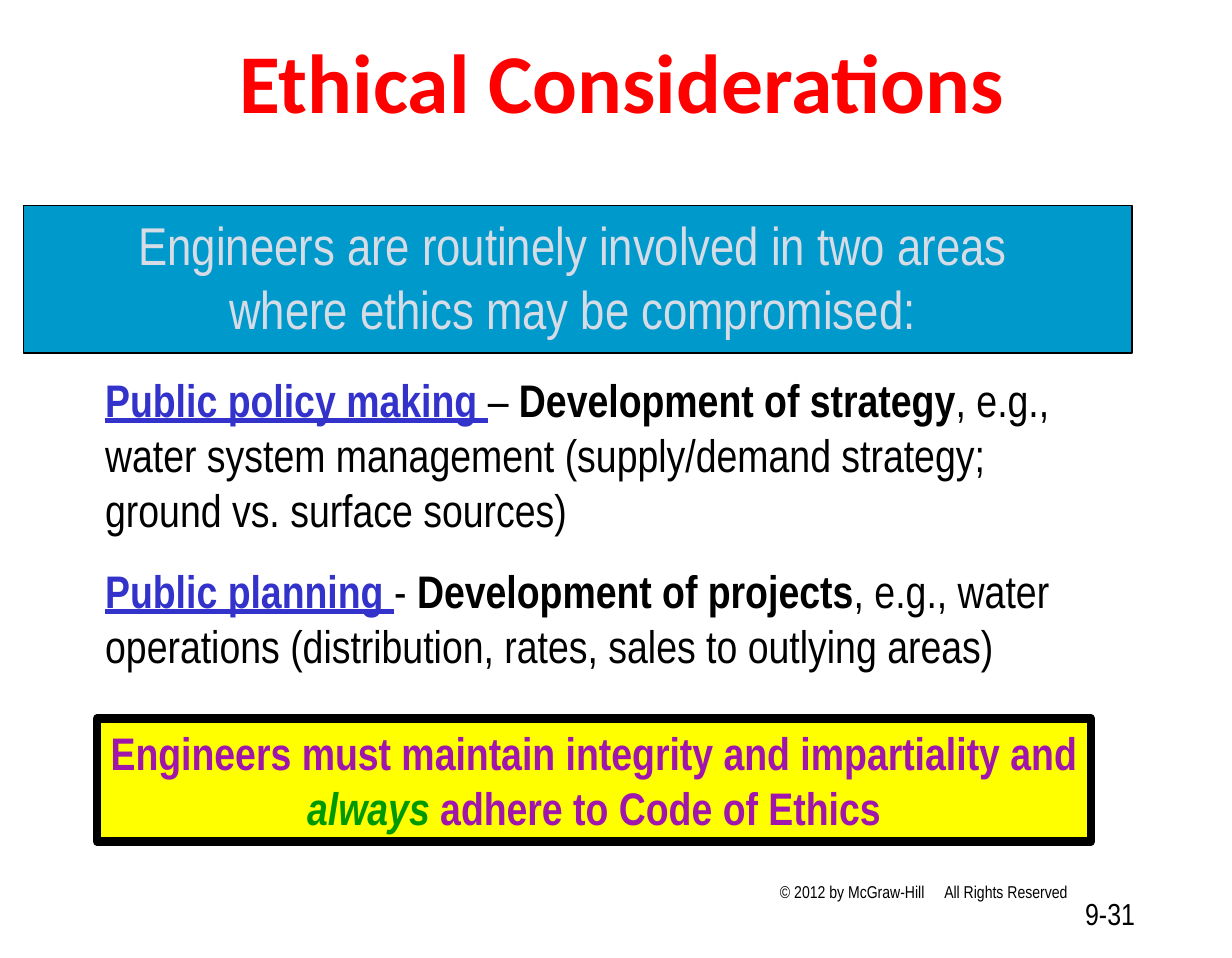
from lxml.etree import SubElement
from pptx import Presentation
from pptx.dml.color import RGBColor
from pptx.enum.shapes import MSO_SHAPE
from pptx.enum.text import MSO_ANCHOR, MSO_AUTO_SIZE, PP_ALIGN
from pptx.oxml.ns import qn
from pptx.util import Inches, Pt

COLORS = {
    "black": "000000",
    "title": "FF0000",
    "banner": "0099CC",
    "banner_text": "D6DCE5",
    "topic": "3333CC",
    "rule": "FFFF00",
    "rule_text": "A015AB",
    "always": "009900",
}
BODY_FONT = "Arial Narrow"
TOPIC = {"color": "topic", "bold": True, "underline": True}
STRONG = {"bold": True}


def color(key):
    return RGBColor.from_string(COLORS[key])


def add_panel(slide, box, fill, line_width):
    panel = slide.shapes.add_shape(MSO_SHAPE.RECTANGLE, *map(Inches, box))
    panel.shadow.inherit = False
    panel.fill.solid()
    panel.fill.fore_color.rgb = color(fill)
    panel.line.color.rgb = color("black")
    panel.line.width = Pt(line_width)
    return panel


def add_tab(paragraph, position):
    tabs = SubElement(paragraph._p.get_or_add_pPr(), qn("a:tabLst"))
    SubElement(tabs, qn("a:tab"), pos=str(Inches(position)), algn="l")


def write(shape, paragraphs, size, align=PP_ALIGN.LEFT, gap=0, tab=None,
          frame_format=None, **base):
    """Each paragraph is a list of (text, format) runs."""
    frame = shape.text_frame
    settings = {"word_wrap": True, "vertical_anchor": MSO_ANCHOR.TOP}
    for name, value in (settings | (frame_format or {})).items():
        setattr(frame, name, value)
    for index, runs in enumerate(paragraphs):
        paragraph = frame.add_paragraph() if index else frame.paragraphs[0]
        paragraph.alignment = align
        if index and gap:
            paragraph.space_before = Pt(gap)
        if tab:
            add_tab(paragraph, tab)
        for text, extra in runs:
            run = paragraph.add_run()
            run.text = text
            look = {"name": BODY_FONT, "size": Pt(size), "color": "black"}
            look |= base | extra
            run.font.color.rgb = color(look.pop("color"))
            for name, value in look.items():
                setattr(run.font, name, value)


def add_text(slide, box, paragraphs, size, **options):
    write(slide.shapes.add_textbox(*map(Inches, box)), paragraphs, size, **options)


def main():
    prs = Presentation()
    prs.slide_width, prs.slide_height = Inches(9), Inches(7)
    slide = prs.slides.add_slide(prs.slide_layouts[6])
    grow = {"auto_size": MSO_AUTO_SIZE.SHAPE_TO_FIT_TEXT}
    grow_unwrapped = grow | {"word_wrap": False}
    middle = {"vertical_anchor": MSO_ANCHOR.MIDDLE}

    # Title
    add_text(slide, (0.92, 0.17, 7.25, 0.93), [[("Ethical Considerations", {})]],
             44, align=PP_ALIGN.CENTER, name="Calibri", color="title", bold=True)

    # Banner
    add_panel(slide, (0.17, 1.5, 8.1, 1.08), "banner", 0.75)
    add_text(slide, (0.87, 1.5, 6.62, 1.04),
             [[("Engineers are routinely involved in two areas ", {})],
              [("where ethics may be compromised:", {})]],
             28, align=PP_ALIGN.CENTER, frame_format=grow_unwrapped,
             color="banner_text")

    # Two areas
    add_text(slide, (0.67, 2.67, 7.17, 2.3),
             [[("Public policy making ", TOPIC), ("– ", {}),
               ("Development of strategy", STRONG),
               (", e.g., water system management (supply/demand strategy; "
                "ground vs. surface sources)", {})],
              [("Public planning ", TOPIC), ("- ", {}),
               ("Development of projects", STRONG),
               (", e.g., water operations (distribution, rates, "
                "sales to outlying areas)", {})]],
             24, gap=14, frame_format=grow)

    # Rule for engineers
    rule = add_panel(slide, (0.71, 5.25, 7.26, 0.9), "rule", 4.5)
    write(rule,
          [[("Engineers must maintain integrity and impartiality and", {})],
           [("always", {"color": "always", "italic": True}),
            (" adhere to Code of Ethics", {})]],
          24, align=PP_ALIGN.CENTER, frame_format=grow_unwrapped,
          color="rule_text", bold=True)

    # Footer
    add_text(slide, (5.6, 6.37, 2.33, 0.29),
             [[("© 2012 by McGraw-Hill\tAll Rights Reserved", {})]],
             9, tab=1.2, frame_format=middle)
    add_text(slide, (6.36, 6.49, 2.03, 0.37), [[("9-31", {})]],
             16, align=PP_ALIGN.RIGHT, frame_format=middle)

    prs.save("out.pptx")


if __name__ == "__main__":
    main()
